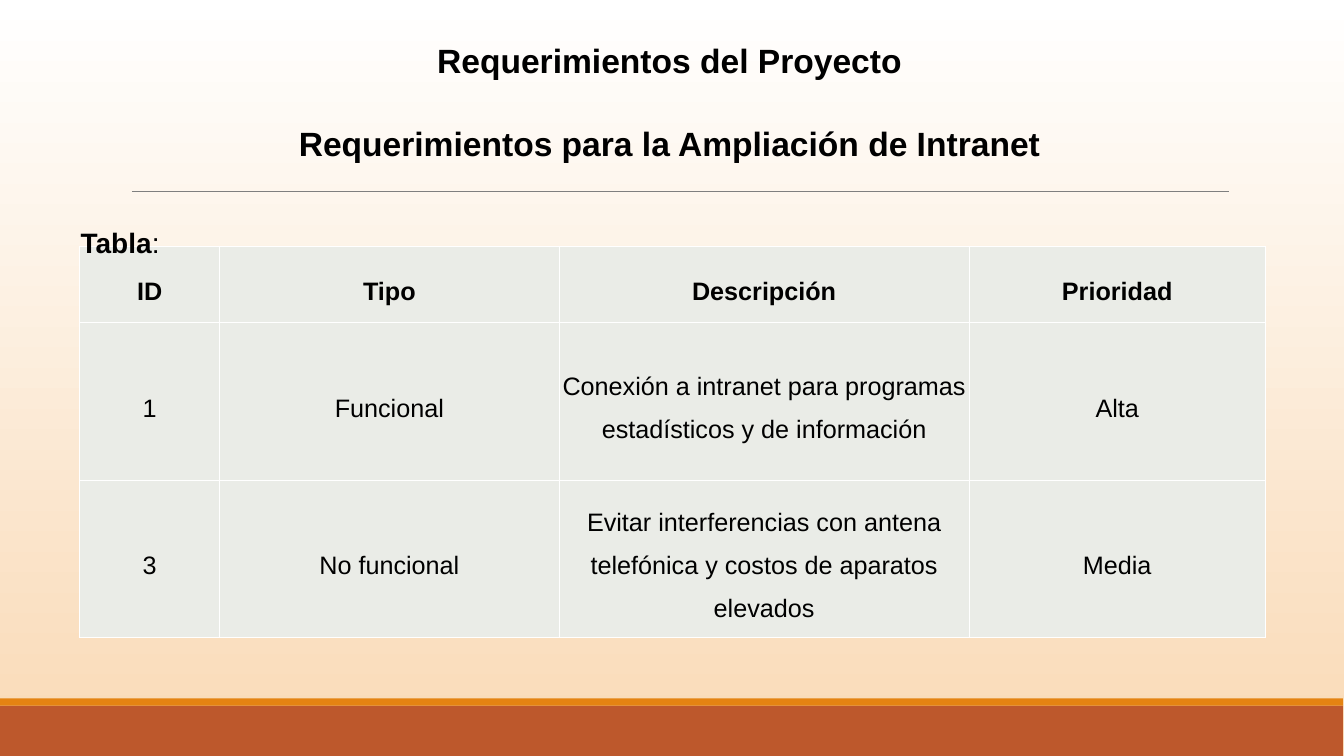
from dataclasses import dataclass

from lxml.etree import SubElement
from pptx import Presentation
from pptx.dml.color import RGBColor
from pptx.enum.shapes import MSO_CONNECTOR, MSO_SHAPE
from pptx.enum.text import MSO_ANCHOR, PP_ALIGN
from pptx.oxml.ns import qn
from pptx.util import Inches, Pt


@dataclass(frozen=True)
class Theme:
    font: str = "Arial"
    text: str = "000000"
    background_top: str = "FFFFFF"
    background_bottom: str = "F9DAB6"
    footer: str = "BD582C"
    footer_accent: str = "E48312"
    rule: str = "7F7F7F"
    cell: str = "EAECE7"
    border: str = "FFFFFF"
    title_size: int = 24
    label_size: int = 20
    table_size: int = 18
    thin_border: float = 0.45
    header_border: float = 1.47


THEME = Theme()
COLUMN_WIDTHS = (1.39, 3.37, 4.07, 2.94)
ROW_HEIGHTS = (0.76, 1.56, 1.56)
REQUIREMENTS = (
    ("ID", "Tipo", "Descripción", "Prioridad"),
    ("1", "Funcional", "Conexión a intranet para programas estadísticos y de información", "Alta"),
    ("3", "No funcional",
     "Evitar interferencias con antena telefónica y costos de aparatos elevados", "Media"),
)


def color(value):
    return RGBColor.from_string(value)


def add_run(paragraph, text, size, bold=False):
    run = paragraph.add_run()
    run.text = text
    run.font.name = THEME.font
    run.font.size = Pt(size)
    run.font.bold = bold
    run.font.color.rgb = color(THEME.text)


def set_background(slide):
    fill = slide.background.fill
    fill.gradient()
    fill.gradient_angle = 270
    stop_colors = (THEME.background_top, THEME.background_bottom)
    for position, (stop, value) in enumerate(zip(fill.gradient_stops, stop_colors)):
        stop.position = position
        stop.color.rgb = color(value)


def add_band(slide, top, height, fill_color):
    shape = slide.shapes.add_shape(
        MSO_SHAPE.RECTANGLE, 0, Inches(top), Inches(13.33), Inches(height))
    shape.shadow.inherit = False
    shape.fill.solid()
    shape.fill.fore_color.rgb = color(fill_color)
    shape.line.fill.background()


def add_rule(slide):
    rule = slide.shapes.add_connector(
        MSO_CONNECTOR.STRAIGHT, Inches(1.31), Inches(1.9), Inches(12.2), Inches(1.9))
    rule.line.color.rgb = color(THEME.rule)
    rule.line.width = Pt(0.5)
    SubElement(rule._element.spPr, qn("a:effectLst"))


def set_borders(cell, widths):
    properties = cell._tc.get_or_add_tcPr()
    for side, width in widths.items():
        line = SubElement(properties, qn(f"a:ln{side}"), w=str(int(Pt(width))))
        fill = SubElement(line, qn("a:solidFill"))
        SubElement(fill, qn("a:srgbClr"), val=THEME.border)


def fill_cell(cell, text, row):
    thin, thick = THEME.thin_border, THEME.header_border
    set_borders(cell, {"L": thin, "R": thin,
                       "T": thick if row == 1 else thin,
                       "B": thick if row == 0 else thin})
    cell.fill.solid()
    cell.fill.fore_color.rgb = color(THEME.cell)
    cell.vertical_anchor = MSO_ANCHOR.MIDDLE
    cell.margin_left = cell.margin_right = Inches(0.01)
    cell.margin_top = cell.margin_bottom = Inches(0.05)
    paragraph = cell.text_frame.paragraphs[0]
    paragraph.alignment = PP_ALIGN.CENTER
    paragraph.line_spacing = 1.53
    paragraph.space_after = Pt(0.3)
    add_run(paragraph, text, THEME.table_size, bold=row == 0)


def add_requirements_table(slide):
    table = slide.shapes.add_table(
        len(ROW_HEIGHTS), len(COLUMN_WIDTHS), Inches(0.79), Inches(2.44),
        Inches(sum(COLUMN_WIDTHS)), Inches(sum(ROW_HEIGHTS))).table
    table.first_row = False
    table.horz_banding = False
    for column, width in zip(table.columns, COLUMN_WIDTHS):
        column.width = Inches(width)
    for row, height in zip(table.rows, ROW_HEIGHTS):
        row.height = Inches(height)
    for row, texts in enumerate(REQUIREMENTS):
        for column, text in enumerate(texts):
            fill_cell(table.cell(row, column), text, row)


def add_heading(slide):
    box = slide.shapes.add_textbox(Inches(0.79), Inches(0.33), Inches(11.78), Inches(2.16))
    frame = box.text_frame
    frame.word_wrap = True
    frame.vertical_anchor = MSO_ANCHOR.TOP
    frame.margin_left, frame.margin_top = Inches(0.01), Inches(0.07)
    frame.margin_right, frame.margin_bottom = Inches(0.08), 0

    title = frame.paragraphs[0]
    title.alignment = PP_ALIGN.CENTER
    add_run(title, "Requerimientos del Proyecto", THEME.title_size, bold=True)

    subtitle = frame.add_paragraph()
    subtitle.alignment = PP_ALIGN.CENTER
    subtitle.space_before = Pt(30)
    add_run(subtitle, "Requerimientos para la Ampliación de Intranet", THEME.title_size, bold=True)

    label = frame.add_paragraph()
    label.alignment = PP_ALIGN.LEFT
    label.space_before = Pt(44.5)
    add_run(label, "Tabla", THEME.label_size, bold=True)
    add_run(label, ":", THEME.label_size)


def main():
    presentation = Presentation()
    presentation.slide_width = Inches(13.34)
    presentation.slide_height = Inches(7.5)
    slide = presentation.slides.add_slide(presentation.slide_layouts[6])
    set_background(slide)
    add_band(slide, 7, 0.5, THEME.footer)
    add_band(slide, 6.93, 0.07, THEME.footer_accent)
    add_rule(slide)
    add_requirements_table(slide)
    add_heading(slide)
    presentation.save("out.pptx")


if __name__ == "__main__":
    main()
